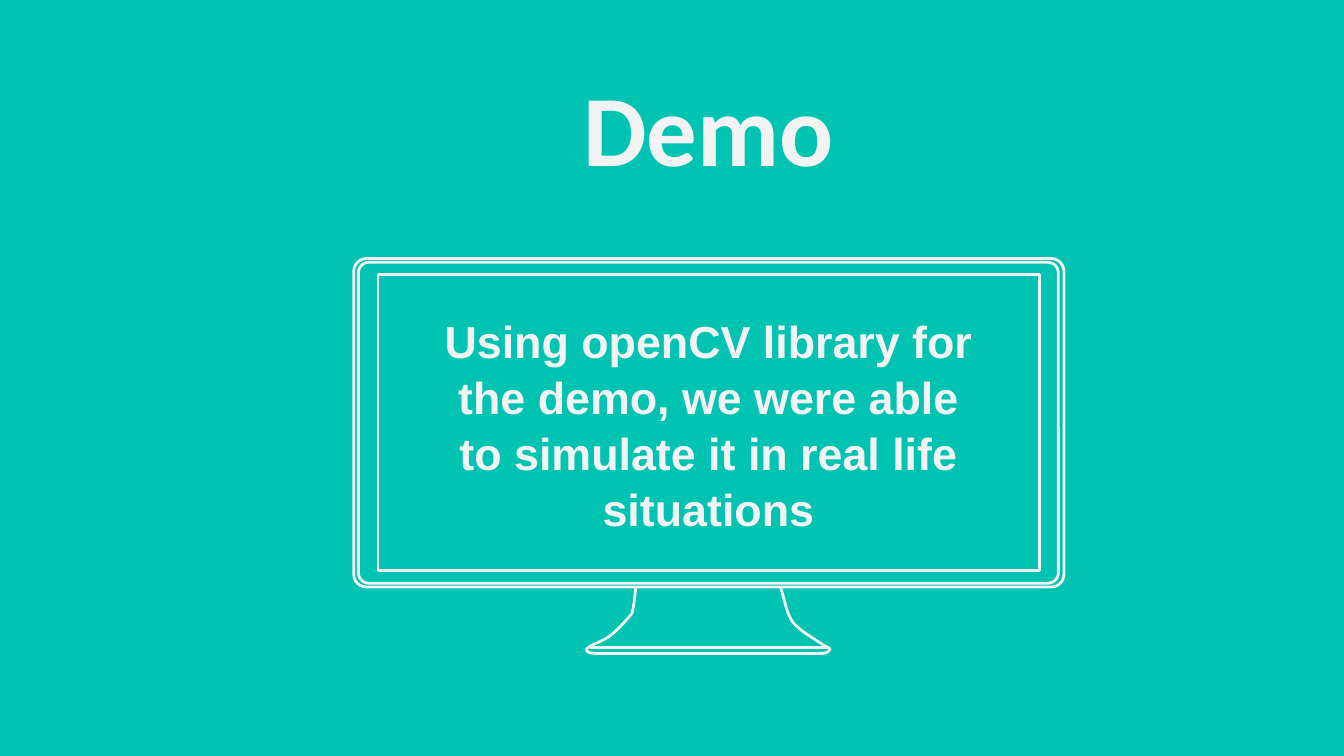
from dataclasses import dataclass

from lxml.etree import SubElement
from pptx import Presentation
from pptx.dml.color import RGBColor
from pptx.enum.shapes import MSO_CONNECTOR, MSO_SHAPE
from pptx.enum.text import MSO_ANCHOR, MSO_AUTO_SIZE, PP_ALIGN
from pptx.oxml.ns import qn
from pptx.util import Pt


@dataclass(frozen=True)
class Theme:
    """Colours, fonts and sizes of the slide."""
    back: RGBColor = RGBColor(0x00, 0xC3, 0xB1)
    ink: RGBColor = RGBColor(0xF3, 0xF3, 0xF3)
    head: str = "Calibri"
    body: str = "Arial"
    large: float = 54
    small: float = 24
    line: float = 1.5


THEME = Theme()
LEFT = [(340.6, 314.6), (339.1, 326.2), (337, 330.5), (326.9, 340.6),
        (316.1, 346.3), (314.3, 348.3), (316, 349.7), (321, 350.2)]
RIGHT = [(433.5, 350.2), (441.4, 350), (444.3, 348.4), (443.9, 347),
         (440, 344.9), (424.8, 333.4), (419, 317.5), (418.3, 314.6)]


def place(shape, left, top, width, height):
    """Set the frame of a shape in points."""
    shape.left, shape.top = Pt(left), Pt(top)
    shape.width, shape.height = Pt(width), Pt(height)


def write(frame, text, font, size):
    """Add one bold, centred run to a text frame."""
    para = frame.paragraphs[0]
    para.alignment = PP_ALIGN.CENTER
    run = para.add_run()
    run.text = text
    run.font.name, run.font.size = font, Pt(size)
    run.font.bold = True
    run.font.color.rgb = THEME.ink
    return para


def stroke(line):
    """Give a line the theme colour and width."""
    line.color.rgb = THEME.ink
    line.width = Pt(THEME.line)


def clear(shape):
    """Leave only the outline of a shape."""
    shape.shadow.inherit = False
    shape.fill.background()
    stroke(shape.line)


def panel(group, kind, box, bend=None):
    """Draw one outlined panel of the screen."""
    shape = group.shapes.add_shape(kind, *map(Pt, box))
    if bend is not None:
        shape.adjustments[0] = bend
    clear(shape)


def curve(nodes, steps=8):
    """Return points of a smooth curve through the nodes."""
    ends = [nodes[0], *nodes, nodes[-1]]
    dots = [nodes[0]]
    for a, b, c, d in zip(ends, ends[1:], ends[2:], ends[3:]):
        for step in range(1, steps + 1):
            t = step / steps
            dots.append(tuple(
                (2 * q + (r - p) * t + (2 * p - 5 * q + 4 * r - s) * t ** 2
                 + (3 * q - p - 3 * r + s) * t ** 3) / 2
                for p, q, r, s in zip(a, b, c, d)))
    return dots


def stand(group):
    """Draw the foot of the screen and its ledge."""
    dots = [(Pt(x), Pt(y)) for x, y in curve(LEFT) + curve(RIGHT)]
    pen = group.shapes.build_freeform(*dots[0])
    pen.add_line_segments(dots[1:], close=False)
    clear(pen.convert_to_shape())
    ledge = group.shapes.add_connector(
        MSO_CONNECTOR.STRAIGHT, Pt(316), Pt(347), Pt(443.5), Pt(347))
    stroke(ledge.line)
    SubElement(ledge._element.spPr, qn("a:effectLst"))


def screen(slide):
    """Draw the computer as one group."""
    group = slide.shapes.add_group_shape()
    panel(group, MSO_SHAPE.RECTANGLE, (202.5, 147, 354.5, 158.5))
    panel(group, MSO_SHAPE.ROUNDED_RECTANGLE, (189.5, 138.5, 380.5, 176), 0.039)
    panel(group, MSO_SHAPE.ROUNDED_RECTANGLE, (192, 140.5, 375, 172), 0.033)
    stand(group)


def title(slide, text):
    """Fill the title placeholder."""
    shape = slide.shapes.title
    place(shape, 276.5, 26, 206, 45.5)
    frame = shape.text_frame
    frame.auto_size = MSO_AUTO_SIZE.NONE
    frame.vertical_anchor = MSO_ANCHOR.TOP
    frame.margin_left = frame.margin_right = frame.margin_bottom = Pt(7.2)
    frame.margin_top = Pt(9)
    write(frame, text, THEME.head, THEME.large)


def note(slide, text):
    """Add the text shown on the screen."""
    shape = slide.shapes.add_textbox(Pt(229.5), Pt(165), Pt(300), Pt(124))
    frame = shape.text_frame
    frame.word_wrap = True
    frame.auto_size = MSO_AUTO_SIZE.SHAPE_TO_FIT_TEXT
    frame.vertical_anchor = MSO_ANCHOR.MIDDLE
    write(frame, text, THEME.body, THEME.small).line_spacing = 1.04


def main():
    """Build and save the slide."""
    deck = Presentation()
    deck.slide_width, deck.slide_height = Pt(720), Pt(405)
    slide = deck.slides.add_slide(deck.slide_layouts[5])
    slide.background.fill.solid()
    slide.background.fill.fore_color.rgb = THEME.back
    title(slide, "Demo")
    screen(slide)
    note(slide, "Using openCV library for the demo, we were able "
                "to simulate it in real life situations")
    deck.save("out.pptx")


if __name__ == "__main__":
    main()
